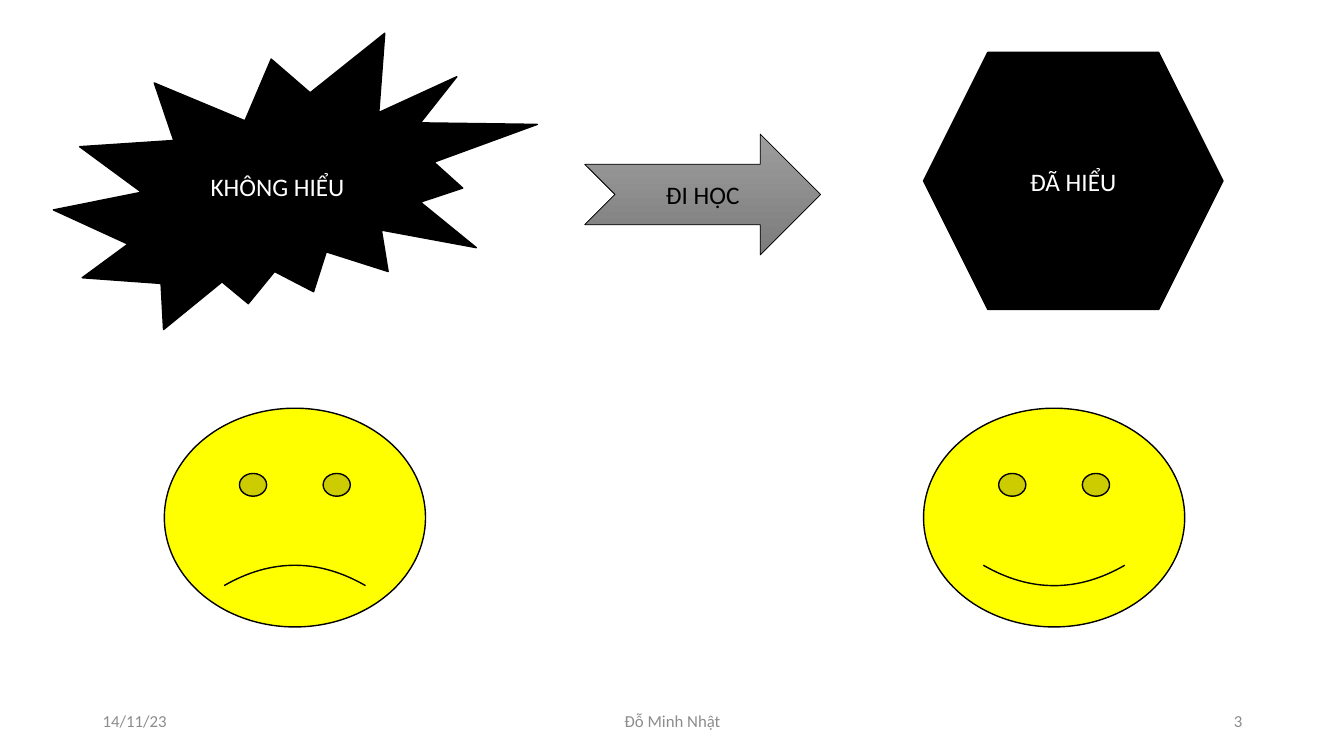
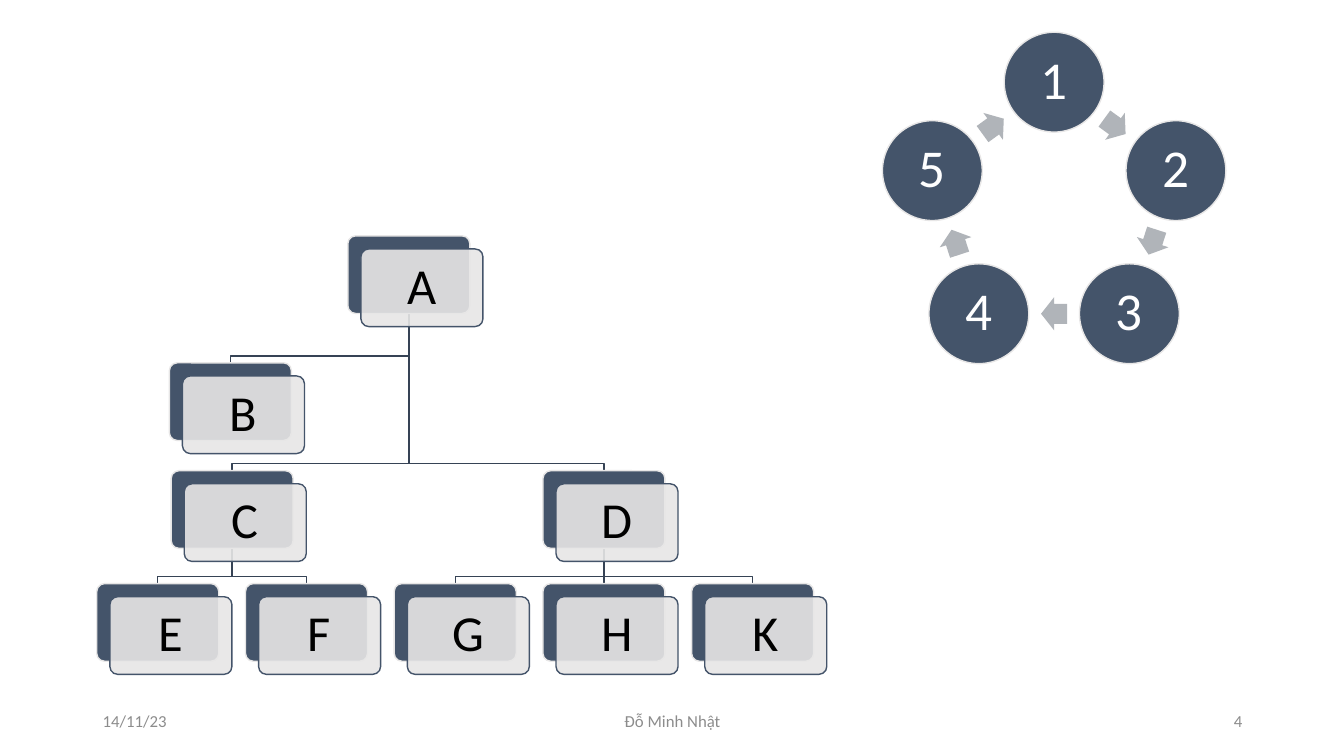
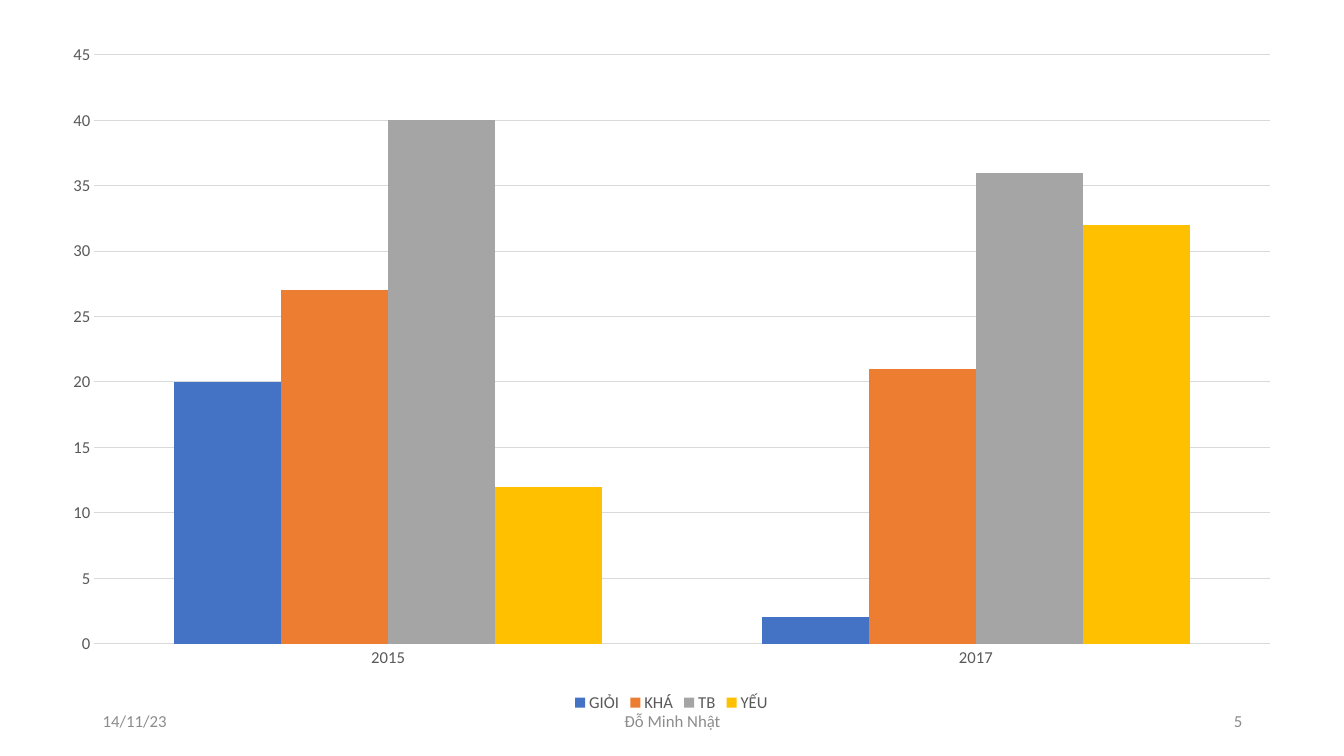
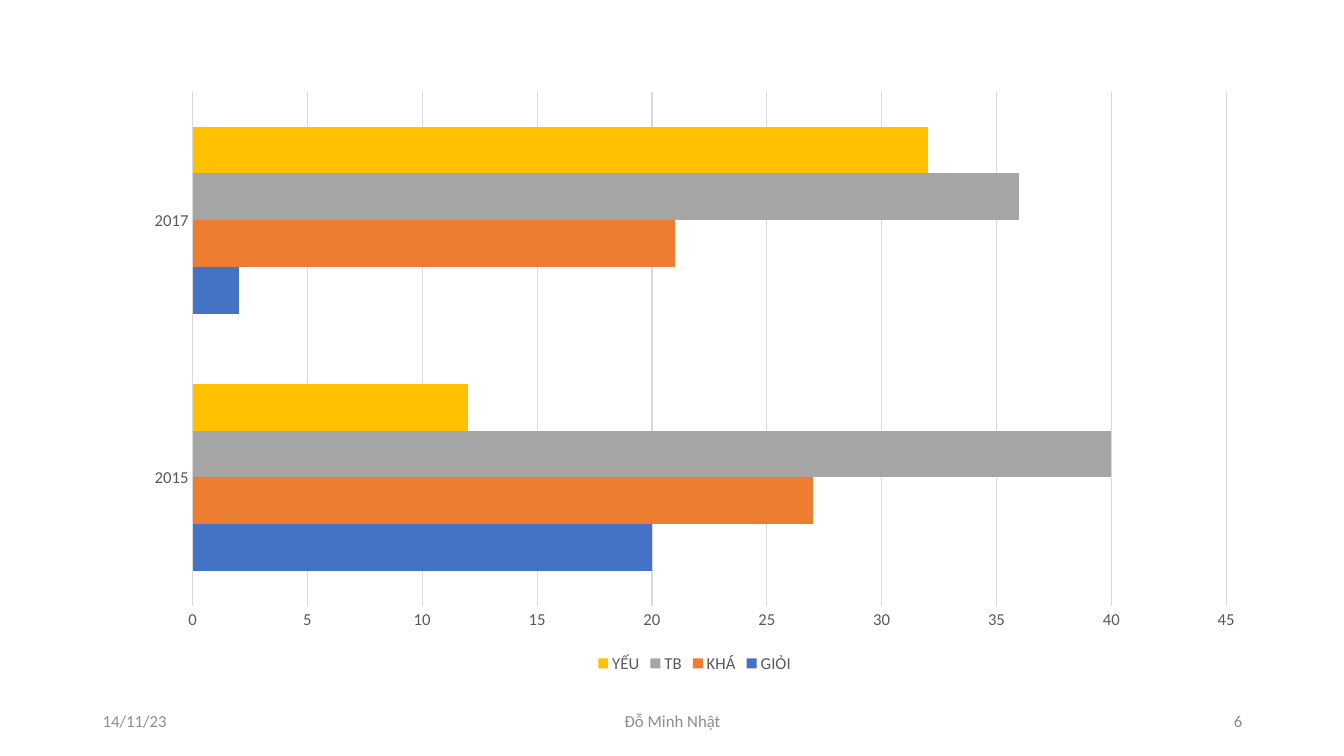
import math

import lxml.etree
import pptx
import pptx.chart.data
import pptx.dml.color
import pptx.enum.chart
import pptx.enum.shapes
import pptx.enum.text
import pptx.oxml.ns
import pptx.util
from pptx.util import Inches

BLACK = pptx.dml.color.RGBColor(0x00, 0x00, 0x00)
WHITE = pptx.dml.color.RGBColor(0xFF, 0xFF, 0xFF)
YELLOW = pptx.dml.color.RGBColor(0xFF, 0xFF, 0x00)
NAVY = pptx.dml.color.RGBColor(0x44, 0x54, 0x6A)
INK = pptx.dml.color.RGBColor(0x36, 0x43, 0x55)
PALE = pptx.dml.color.RGBColor(0xE7, 0xE6, 0xE6)
STEEL = pptx.dml.color.RGBColor(0xB0, 0xB4, 0xB9)
GREY = pptx.dml.color.RGBColor(0x8C, 0x8C, 0x8C)
SLATE = pptx.dml.color.RGBColor(0x59, 0x59, 0x59)
GRID = pptx.dml.color.RGBColor(0xD9, 0xD9, 0xD9)
LIGHT = pptx.dml.color.RGBColor(0x9D, 0x9D, 0x9D)
DARK = pptx.dml.color.RGBColor(0x7C, 0x7C, 0x7C)
BLUE = pptx.dml.color.RGBColor(0x44, 0x72, 0xC4)
ORANGE = pptx.dml.color.RGBColor(0xED, 0x7D, 0x31)
SILVER = pptx.dml.color.RGBColor(0xA5, 0xA5, 0xA5)
GOLD = pptx.dml.color.RGBColor(0xFF, 0xC0, 0x00)

FONT = "Calibri"
SHAPE = pptx.enum.shapes.MSO_SHAPE
ALIGN = pptx.enum.text.PP_ALIGN
KIND = pptx.enum.chart.XL_CHART_TYPE


def draw(slide, kind, left, top, width, height, fill, line=None):
    """Add a flat preset shape; no line colour means no outline."""
    shape = slide.shapes.add_shape(
        kind, Inches(left), Inches(top), Inches(width), Inches(height))
    shape.shadow.inherit = False
    shape.fill.solid()
    shape.fill.fore_color.rgb = fill
    if line is None:
        shape.line.fill.background()
    else:
        shape.line.color.rgb = line
        shape.line.width = pptx.util.Pt(1)
    return shape


def write(shape, text, size, color, align=ALIGN.CENTER, inset=None):
    """Put one line of text in a shape, centred from top to bottom."""
    frame = shape.text_frame
    frame.word_wrap = True
    frame.vertical_anchor = pptx.enum.text.MSO_ANCHOR.MIDDLE
    para = frame.paragraphs[0]
    para.alignment = align
    if inset is not None:
        frame.margin_left = frame.margin_right = Inches(inset)
        frame.margin_top = frame.margin_bottom = Inches(inset)
        para.line_spacing = 0.9
    run = para.add_run()
    run.text = text
    run.font.name = FONT
    run.font.size = pptx.util.Pt(size)
    run.font.color.rgb = color


deck = pptx.Presentation()
deck.slide_width = Inches(13.33)
deck.slide_height = Inches(7.5)
blank = deck.slide_layouts[6]

# Before and after class
slide = deck.slides.add_slide(blank)
burst = draw(slide, SHAPE.EXPLOSION2, 0.53, 0.33, 4.8, 2.94, BLACK, BLACK)
write(burst, "KHÔNG HIỂU", 18, WHITE)
arrow = draw(slide, SHAPE.NOTCHED_RIGHT_ARROW, 5.8, 1.33, 2.34, 1.2, GREY, BLACK)
arrow.line.width = pptx.util.Pt(0.5)
arrow.fill.gradient()
arrow.fill.gradient_angle = 270
for stop, color in zip(arrow.fill.gradient_stops, (LIGHT, DARK)):
    stop.color.rgb = color
write(arrow, "ĐI HỌC", 18, BLACK)
hexa = draw(slide, SHAPE.HEXAGON, 9.16, 0.52, 2.97, 2.55, BLACK, BLACK)
write(hexa, "ĐÃ HIỂU", 18, WHITE)
for left, smile in ((1.63, -0.047), (9.16, 0.047)):
    face = draw(slide, SHAPE.SMILEY_FACE, left, 4.05, 2.59, 2.17, YELLOW, BLACK)
    face.adjustments[0] = smile

# Ring of five steps and tree of cards
slide = deck.slides.add_slide(blank)
MID_X, MID_Y, RADIUS, DISC = 10.455, 2.085, 1.27, 0.99
STEPS = 5
TURN = 360 / STEPS
ARROW_W, ARROW_H = 0.26, 0.33
for step in range(STEPS):
    angle = math.radians(step * TURN)
    disc = draw(slide, SHAPE.OVAL,
                MID_X + RADIUS * math.sin(angle) - DISC / 2,
                MID_Y - RADIUS * math.cos(angle) - DISC / 2,
                DISC, DISC, NAVY, PALE)
    write(disc, str(step + 1), 38, WHITE, inset=0.05)

    turn = (step + 0.5) * TURN
    angle = math.radians(turn)
    reach = RADIUS * math.cos(math.radians(TURN / 2))
    arrow = draw(slide, SHAPE.RIGHT_ARROW,
                 MID_X + reach * math.sin(angle) - ARROW_W / 2,
                 MID_Y - reach * math.cos(angle) - ARROW_H / 2,
                 ARROW_W, ARROW_H, STEEL)
    arrow.adjustments[0] = 0.6
    arrow.rotation = turn

CARD_W, CARD_H, SHIFT, DROP = 1.21, 0.77, 0.13, 0.07
COL, PITCH = 0.96, 1.475
TOPS = (2.34, 3.6, 4.67, 5.79)
# name, left, row, parent
CARDS = (
    ("A", 3.45, 0, None),
    ("B", 1.68, 1, "A"),
    ("C", COL + PITCH / 2, 2, "A"),
    ("E", COL, 3, "C"),
    ("F", COL + PITCH, 3, "C"),
    ("D", COL + 3 * PITCH, 2, "A"),
    ("G", COL + 2 * PITCH, 3, "D"),
    ("H", COL + 3 * PITCH, 3, "D"),
    ("K", COL + 4 * PITCH, 3, "D"),
)
backs = {}
for name, left, row, parent in CARDS:
    top = TOPS[row]
    back = draw(slide, SHAPE.ROUNDED_RECTANGLE, left, top, CARD_W, CARD_H, NAVY, PALE)
    front = draw(slide, SHAPE.ROUNDED_RECTANGLE, left + SHIFT, top + SHIFT,
                 CARD_W, CARD_H, PALE, NAVY)
    back.adjustments[0] = front.adjustments[0] = 0.1
    tint = front._element.spPr.find(
        "a:solidFill/a:srgbClr", {"a": pptx.oxml.ns.nsuri("a")})
    lxml.etree.SubElement(tint, pptx.oxml.ns.qn("a:alpha"), val="90000")
    write(front, name, 36, BLACK, inset=0.12)
    backs[name] = back

for name, left, row, parent in CARDS:
    if parent is None:
        continue
    child, owner = backs[name], backs[parent]
    end_x = child.left + child.width // 2
    start_x = owner.left + owner.width // 2
    start_y = owner.top + owner.height
    if child.left == owner.left:
        link = slide.shapes.add_connector(
            pptx.enum.shapes.MSO_CONNECTOR.STRAIGHT, start_x, start_y, end_x, child.top)
        link.begin_connect(owner, 2)
        link.end_connect(child, 0)
        lxml.etree.SubElement(link._element.spPr, pptx.oxml.ns.qn("a:effectLst"))
    else:
        bend = child.top - Inches(DROP)
        path = slide.shapes.build_freeform(start_x, start_y)
        path.add_line_segments(
            [(start_x, bend), (end_x, bend), (end_x, child.top)], close=False)
        link = path.convert_to_shape()
        link.shadow.inherit = False
        link.fill.background()
    link.line.color.rgb = INK
    link.line.width = pptx.util.Pt(1)
    # Lines lie behind the cards
    slide.shapes._spTree.insert(2, link._element)

# Grades by year, as columns and as bars
GRADES = (
    ("GIỎI", (20, 2), BLUE),
    ("KHÁ", (27, 21), ORANGE),
    ("TB", (40, 36), SILVER),
    ("YẾU", (12, 32), GOLD),
)
data = pptx.chart.data.CategoryChartData()
data.categories = ["2015", "2017"]
for name, marks, color in GRADES:
    data.add_series(name, marks)

for kind, left, top, width, height in (
        (KIND.COLUMN_CLUSTERED, 0.48, 0.31, 12.36, 6.8),
        (KIND.BAR_CLUSTERED, 1.31, 0.79, 11.16, 5.93)):
    slide = deck.slides.add_slide(blank)
    chart = slide.shapes.add_chart(
        kind, Inches(left), Inches(top), Inches(width), Inches(height), data).chart
    chart.has_title = False
    chart.font.name = FONT
    chart.font.size = pptx.util.Pt(11.9)
    chart.font.color.rgb = SLATE
    chart.has_legend = True
    chart.legend.position = pptx.enum.chart.XL_LEGEND_POSITION.BOTTOM
    chart.legend.include_in_layout = False
    plot = chart.plots[0]
    plot.gap_width = 150
    plot.overlap = 0
    plot.vary_by_categories = False
    for series, (name, marks, color) in zip(plot.series, GRADES):
        series.format.fill.solid()
        series.format.fill.fore_color.rgb = color
    for axis in (chart.category_axis, chart.value_axis):
        axis.major_tick_mark = pptx.enum.chart.XL_TICK_MARK.NONE
        axis.minor_tick_mark = pptx.enum.chart.XL_TICK_MARK.NONE
        axis.format.line.fill.background()
    scale = chart.value_axis
    scale.minimum_scale = 0
    scale.maximum_scale = 45
    scale.major_unit = 5
    scale.has_major_gridlines = True
    scale.major_gridlines.format.line.color.rgb = GRID
    scale.major_gridlines.format.line.width = pptx.util.Pt(0.75)

# Date, name and number at the foot of each slide
for number, slide in enumerate(deck.slides, 3):
    for text, left, width, align in (
            ("14/11/23", 0.92, 3, ALIGN.LEFT),
            ("Đỗ Minh Nhật", 4.42, 4.5, ALIGN.CENTER),
            (str(number), 9.42, 3, ALIGN.RIGHT)):
        box = slide.shapes.add_textbox(
            Inches(left), Inches(6.95), Inches(width), Inches(0.4))
        write(box, text, 12, GREY, align)

deck.save("out.pptx")
